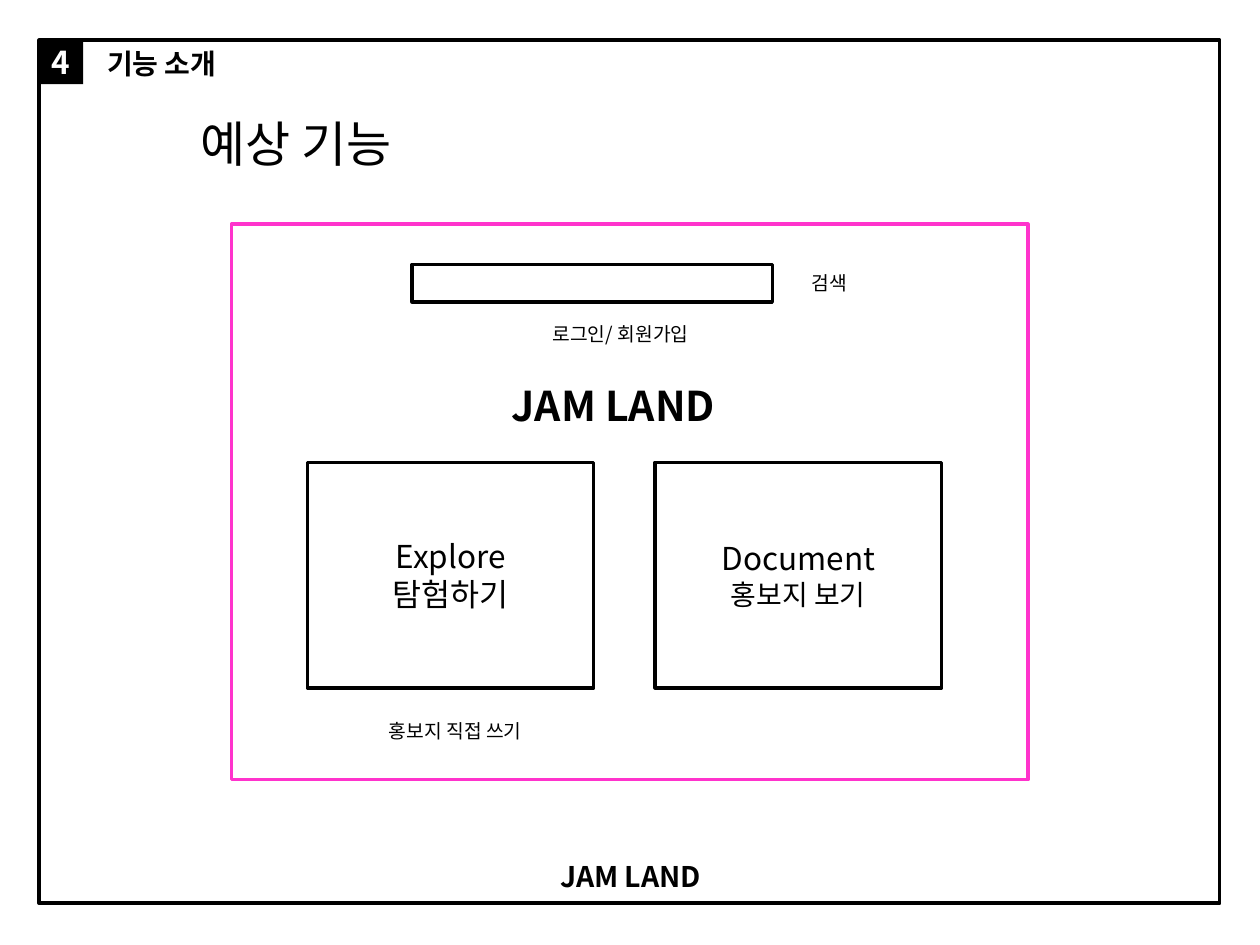
from dataclasses import dataclass
from typing import Optional

from lxml.etree import SubElement
from pptx import Presentation
from pptx.dml.color import RGBColor
from pptx.enum.shapes import MSO_SHAPE as Shape
from pptx.enum.text import MSO_ANCHOR as Anchor, PP_ALIGN as Align
from pptx.oxml.ns import qn
from pptx.util import Cm, Pt

FONT = "Noto Sans CJK KR"
COLORS = {"black": "000000", "white": "FFFFFF", "pink": "FF33CC"}


@dataclass
class Line:
    text: str
    size: float
    bold: bool = False
    color: str = "black"


@dataclass
class Box:
    left: float
    top: float
    width: float
    height: float
    lines: tuple[Line, ...] = ()
    fill: Optional[str] = None
    outline: Optional[str] = None


def rgb(name: str) -> RGBColor:
    return RGBColor.from_string(COLORS[name])


def add_line(paragraph, text: str, *, size: float, bold: bool, color: str) -> None:
    paragraph.alignment = Align.CENTER
    run = paragraph.add_run()
    run.text = text
    font = run.font
    font.name, font.size, font.bold = FONT, Pt(size), bold
    font.color.rgb = rgb(color)
    # Korean letters take the East Asian typeface
    SubElement(font._element, qn("a:ea"), typeface=FONT)


def draw_box(slide, box: Box) -> None:
    place = [Cm(value) for value in (box.left, box.top, box.width, box.height)]
    if box.fill or box.outline:
        shape = slide.shapes.add_shape(Shape.RECTANGLE, *place)
        shape.shadow.inherit = False
        if box.fill:
            shape.fill.solid()
            shape.fill.fore_color.rgb = rgb(box.fill)
        else:
            shape.fill.background()
        if box.outline:
            shape.line.color.rgb = rgb(box.outline)
            shape.line.width = Pt(2)
        else:
            shape.line.fill.background()
    else:
        shape = slide.shapes.add_textbox(*place)
    frame = shape.text_frame
    frame.word_wrap = True
    frame.vertical_anchor = Anchor.MIDDLE
    for index, line in enumerate(box.lines):
        paragraph = frame.add_paragraph() if index else frame.paragraphs[0]
        add_line(paragraph, line.text, size=line.size, bold=line.bold, color=line.color)


# Page frame, number badge and headings
FRAME_LEFT, FRAME_TOP = 0.79, 0.81
PAGE = [
    Box(FRAME_LEFT, FRAME_TOP, 23.8, 17.4, outline="black"),
    Box(10.41, 17.27, 4.6, 0.79, (Line("JAM LAND", 16.2, True),)),
    Box(FRAME_LEFT, FRAME_TOP, 0.89, 0.89, (Line("4", 18, True, "white"),), fill="black"),
    Box(1.7, FRAME_TOP, 3.12, 0.94, (Line("기능 소개", 16, True),)),
    Box(1.5, 2.08, 8.92, 1.6, (Line("예상 기능", 28),)),
]

# Wireframe of the main screen
SCREEN = [
    Box(4.67, 4.52, 16.05, 11.2, fill="white", outline="pink"),
    Box(8.31, 5.33, 7.26, 0.76, fill="white", outline="black"),
    Box(15.57, 5.23, 2.31, 0.94, (Line("검색", 11),)),
    Box(9.45, 6.27, 6.12, 0.94, (Line("로그인/ 회원가입", 11),)),
    Box(6.88, 7.21, 10.97, 1.9, (Line("JAM LAND", 23.4, True),)),
    Box(6.12, 14.27, 6.12, 0.94, (Line("홍보지 직접 쓰기", 11),)),
]

# Two equal menu cards
CARD_LEFT, CARD_STEP = 6.2, 7.01
CARDS = [
    (Line("Explore", 18), Line("탐험하기", 18)),
    (Line("Document", 18), Line("홍보지 보기", 16)),
]


def main() -> None:
    presentation = Presentation()
    presentation.slide_width, presentation.slide_height = Cm(25.4), Cm(19.05)
    slide = presentation.slides.add_slide(presentation.slide_layouts[6])
    cards = [
        Box(CARD_LEFT + index * CARD_STEP, 9.32, 5.77, 4.55, lines, "white", "black")
        for index, lines in enumerate(CARDS)
    ]
    for box in PAGE + SCREEN + cards:
        draw_box(slide, box)
    presentation.save("out.pptx")


if __name__ == "__main__":
    main()
